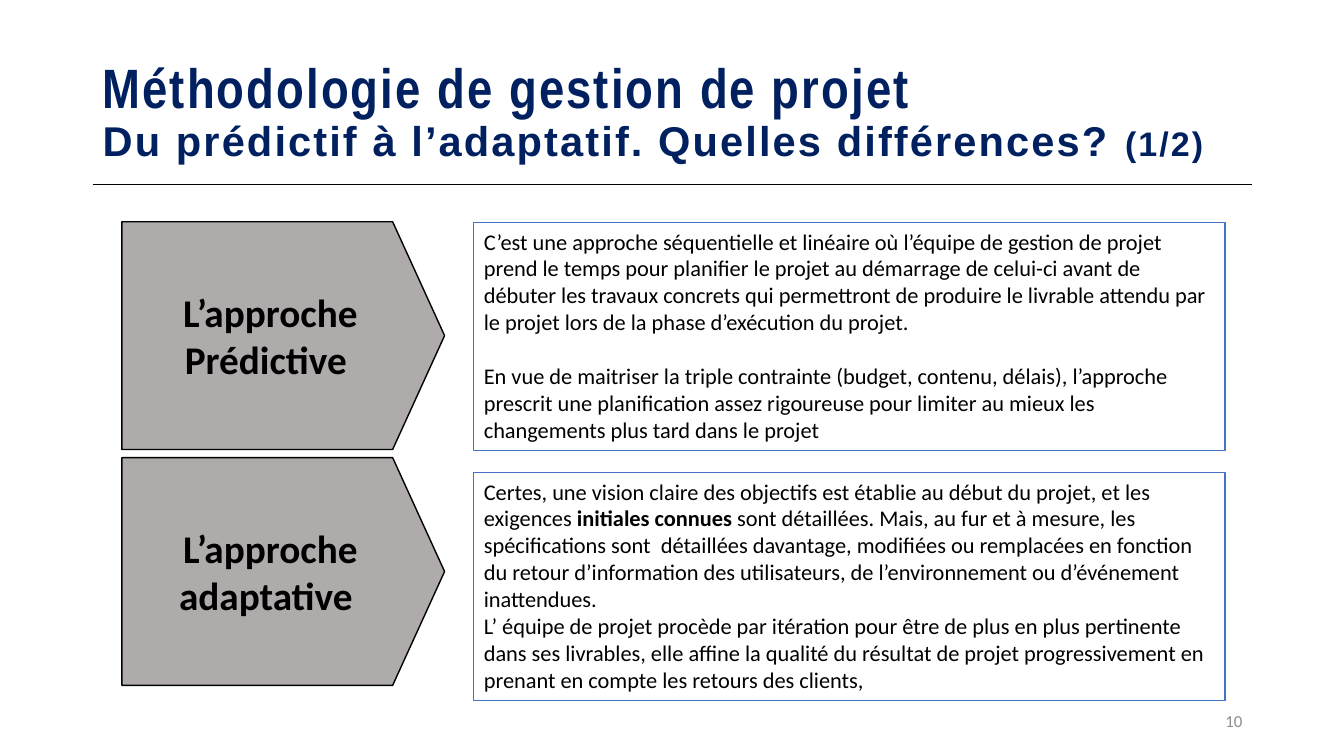
import pptx
import pptx.util
import pptx.dml.color
import pptx.enum.shapes
import pptx.enum.text
import pptx.oxml
from dataclasses import dataclass

Inches, Pt = pptx.util.Inches, pptx.util.Pt
Shape = pptx.enum.shapes.MSO_SHAPE
Anchor = pptx.enum.text.MSO_ANCHOR
Align = pptx.enum.text.PP_ALIGN


@dataclass(frozen=True)
class Theme:
    navy: str = "002060"
    black: str = "000000"
    arrow_fill: str = "AFABAB"
    box_line: str = "4472C4"
    number_grey: str = "8C8C8C"
    heading_font: str = "Arial Narrow"
    subtitle_font: str = "Arial"
    body_font: str = "Calibri"
    heading_size: float = 39.6
    subtitle_size: float = 29.7
    part_size: float = 24.3
    label_size: float = 28
    body_size: float = 16
    number_size: float = 12


THEME = Theme()

# Each approach: label, then paragraphs of (text, bold) runs, then the gap between paragraphs
APPROACHES = [
    ("L’approche Prédictive ", [
        [("C’est une approche séquentielle et linéaire où l’équipe de gestion de "
          "projet prend le temps pour planifier le projet au démarrage de celui-ci avant de "
          "débuter les travaux concrets qui permettront de produire le livrable attendu "
          "par le projet lors de la phase d’exécution du projet.", False)],
        [("En vue de maitriser la triple contrainte (budget, contenu, délais), "
          "l’approche prescrit une planification assez rigoureuse pour limiter au "
          "mieux les changements plus tard dans le projet", False)],
    ], 19.5),
    ("L’approche adaptative ", [
        [("Certes, une vision claire des objectifs est établie au début du projet, "
          "et les exigences ", False),
         ("initiales connues ", True),
         ("sont détaillées. Mais, au fur et à mesure, les spécifications sont  "
          "détaillées davantage, modifiées ou remplacées en fonction du retour "
          "d’information des utilisateurs, de l’environnement ou d’événement "
          "inattendues.", False)],
        [("L’ équipe de projet procède par itération pour être de plus en plus "
          "pertinente dans ses livrables, elle affine la qualité du résultat de "
          "projet progressivement en prenant en compte les retours des clients,", False)],
    ], 0),
]


def rgb(value):
    return pptx.dml.color.RGBColor.from_string(value)


def add_run(paragraph, text, font, size, color, bold=False):
    run = paragraph.add_run()
    run.text = text
    run.font.name = font
    run.font.size = Pt(size)
    run.font.bold = bold
    run.font.color.rgb = rgb(color)
    return run


def add_text_area(slide, left, top, width, height):
    area = slide.shapes.add_textbox(Inches(left), Inches(top), Inches(width), Inches(height))
    area.text_frame.word_wrap = True
    area.text_frame.vertical_anchor = Anchor.MIDDLE
    return area.text_frame.paragraphs[0]


def add_outlined(slide, kind, left, top, width, height, line_color, line_width):
    shape = slide.shapes.add_shape(
        kind, Inches(left), Inches(top), Inches(width), Inches(height))
    shape.shadow.inherit = False
    shape.line.color.rgb = rgb(line_color)
    shape.line.width = Pt(line_width)
    shape.text_frame.word_wrap = True
    return shape


def add_header(slide, left, top, width, height):
    # Two-line title with widened letter spacing
    title = add_text_area(slide, left, top, width, height)
    title.line_spacing = 0.9
    pieces = [
        ("Méthodologie de gestion de projet", THEME.heading_font, THEME.heading_size),
        ("Du prédictif à l’adaptatif. Quelles différences? ",
         THEME.subtitle_font, THEME.subtitle_size),
        ("(1/2)", THEME.subtitle_font, THEME.part_size),
    ]
    for index, (text, font, size) in enumerate(pieces):
        if index == 1:
            title.add_line_break()
        run = add_run(title, text, font, size, THEME.navy, bold=True)
        run.font._element.set("spc", "150")

    # Rule under the title
    rule_y = Inches(top + height - 0.02)
    rule = slide.shapes.add_connector(
        pptx.enum.shapes.MSO_CONNECTOR.STRAIGHT,
        Inches(left), rule_y, Inches(left + width), rule_y)
    rule.line.color.rgb = rgb(THEME.black)
    rule.line.width = Pt(0.5)
    rule._element.spPr.append(pptx.oxml.parse_xml(
        '<a:effectLst xmlns:a="http://schemas.openxmlformats.org/drawingml/2006/main"/>'))


def add_arrow_label(slide, left, top, width, height, label):
    arrow = add_outlined(slide, Shape.PENTAGON, left, top, width, height, THEME.black, 1)
    arrow.adjustments[0] = 0.228
    arrow.fill.solid()
    arrow.fill.fore_color.rgb = rgb(THEME.arrow_fill)
    arrow.text_frame.vertical_anchor = Anchor.MIDDLE
    paragraph = arrow.text_frame.paragraphs[0]
    paragraph.alignment = Align.CENTER
    add_run(paragraph, label, THEME.body_font, THEME.label_size, THEME.black, bold=True)


def add_description(slide, left, top, width, height, paragraphs, gap):
    box = add_outlined(slide, Shape.RECTANGLE, left, top, width, height, THEME.box_line, 0.75)
    box.fill.background()
    frame = box.text_frame
    frame.vertical_anchor = Anchor.TOP
    for index, runs in enumerate(paragraphs):
        paragraph = frame.add_paragraph() if index else frame.paragraphs[0]
        paragraph.alignment = Align.LEFT
        if index:
            paragraph.space_before = Pt(gap)
        for text, bold in runs:
            add_run(paragraph, text, THEME.body_font, THEME.body_size, THEME.black, bold)


def add_approaches(slide, left, top, width):
    arrow_width, box_width, row_height = 3.2, 7.45, 2.26
    arrow_pitch, box_pitch = 2.34, 2.48
    for row, (label, paragraphs, gap) in enumerate(APPROACHES):
        add_arrow_label(slide, left, top + row * arrow_pitch, arrow_width, row_height, label)
        add_description(slide, left + width - box_width, top + 0.01 + row * box_pitch,
                        box_width, row_height, paragraphs, gap)


def add_page_number(slide, left, top, width, height):
    number = add_text_area(slide, left, top, width, height)
    number.alignment = Align.RIGHT
    add_run(number, "10", THEME.body_font, THEME.number_size, THEME.number_grey)


def main():
    deck = pptx.Presentation()
    deck.slide_width, deck.slide_height = Inches(13.33), Inches(7.5)
    slide = deck.slides.add_slide(deck.slide_layouts[6])
    add_header(slide, 0.92, 0.4, 11.5, 1.45)
    add_approaches(slide, 1.21, 2.2, 10.94)
    add_page_number(slide, 9.42, 6.95, 3, 0.4)
    deck.save("out.pptx")


if __name__ == "__main__":
    main()
